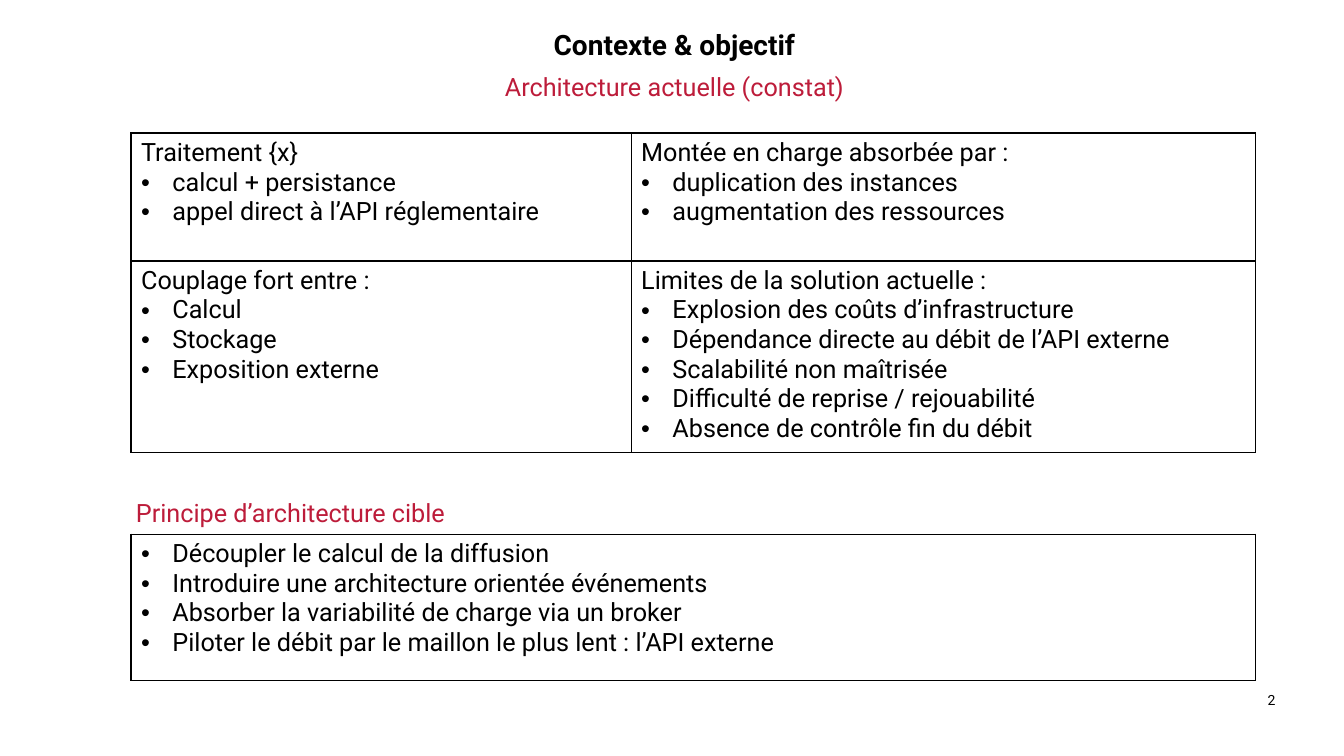
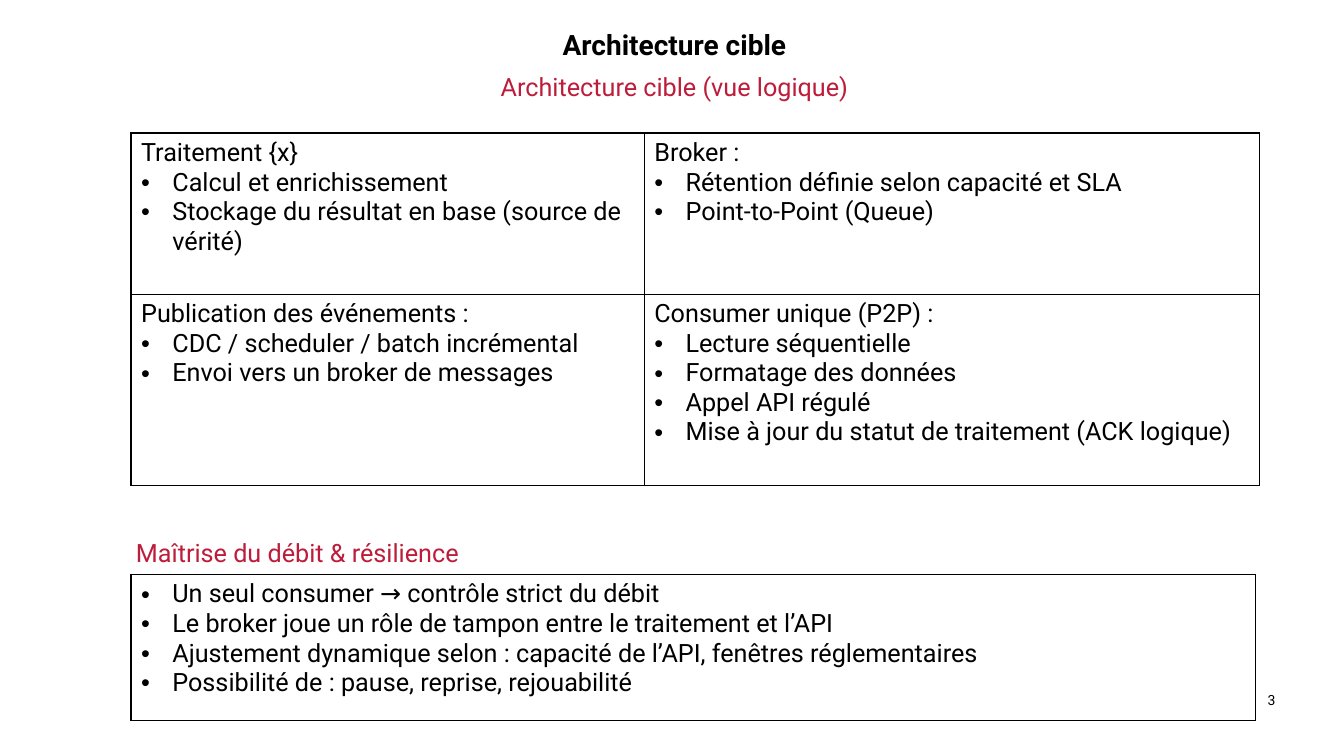
from lxml import etree
from pptx import Presentation
from pptx.dml.color import RGBColor
from pptx.enum.text import MSO_ANCHOR, MSO_AUTO_SIZE, PP_ALIGN
from pptx.oxml.ns import qn
from pptx.util import Inches, Pt

BLACK = RGBColor(0x00, 0x00, 0x00)
WHITE = RGBColor(0xFF, 0xFF, 0xFF)
CRIMSON = RGBColor(0xBD, 0x1C, 0x3A)
FONT = "Roboto"
LEFT = 1.3
PRINCIPLES_WIDTH = 11.15
PRINCIPLES_HEIGHT = 1.45
INDENT = Inches(0.31)

SLIDES = [
    {
        "number": 2,
        "title": "Contexte & objectif",
        "subtitle": "Architecture actuelle (constat)",
        "columns": [4.96, 6.19],
        "rows": [1.27, 1.87],
        "topics": [
            [("Traitement {x}",
              ["calcul + persistance", "appel direct à l’API réglementaire"]),
             ("Montée en charge absorbée par :",
              ["duplication des instances", "augmentation des ressources"])],
            [("Couplage fort entre :",
              ["Calcul", "Stockage", "Exposition externe"]),
             ("Limites de la solution actuelle :",
              ["Explosion des coûts d’infrastructure",
               "Dépendance directe au débit de l’API externe",
               "Scalabilité non maîtrisée",
               "Difficulté de reprise / rejouabilité",
               "Absence de contrôle fin du débit"])],
        ],
        "principles_top": 5.3,
        "heading": "Principe d’architecture cible",
        "principles": [
            "Découpler le calcul de la diffusion",
            "Introduire une architecture orientée événements",
            "Absorber la variabilité de charge via un broker",
            "Piloter le débit par le maillon le plus lent : l’API externe",
        ],
    },
    {
        "number": 3,
        "title": "Architecture cible",
        "subtitle": "Architecture cible (vue logique)",
        "columns": [5.09, 6.1],
        "rows": [1.6, 1.9],
        "topics": [
            [("Traitement {x}",
              ["Calcul et enrichissement",
               "Stockage du résultat en base (source de vérité)"]),
             ("Broker :",
              ["Rétention définie selon capacité et SLA",
               "Point-to-Point (Queue)"])],
            [("Publication des événements :",
              ["CDC / scheduler / batch incrémental",
               "Envoi vers un broker de messages"]),
             ("Consumer unique (P2P) :",
              ["Lecture séquentielle", "Formatage des données",
               "Appel API régulé",
               "Mise à jour du statut de traitement (ACK logique)"])],
        ],
        "principles_top": 5.7,
        "heading": "Maîtrise du débit & résilience",
        "principles": [
            "Un seul consumer → contrôle strict du débit",
            "Le broker joue un rôle de tampon entre le traitement et l’API",
            "Ajustement dynamique selon : capacité de l’API, fenêtres réglementaires",
            "Possibilité de : pause, reprise, rejouabilité",
        ],
    },
]


def write(paragraph, text, size=18, color=BLACK, bold=False, align=PP_ALIGN.LEFT):
    paragraph.text = text
    paragraph.alignment = align
    font = paragraph.font
    font.name, font.size, font.bold = FONT, Pt(size), bold
    font.color.rgb = color


def add_bullet(paragraph):
    properties = paragraph._p.get_or_add_pPr()
    properties.set("marL", str(INDENT))
    properties.set("indent", str(-INDENT))
    etree.SubElement(properties, qn("a:buFont"), typeface="Arial")
    etree.SubElement(properties, qn("a:buChar"), char="•")


def fill_cell(cell, heading, bullets):
    """Write an optional heading, then its bullets."""
    lines = ([(heading, False)] if heading else []) + [(b, True) for b in bullets]
    frame = cell.text_frame
    for i, (text, bulleted) in enumerate(lines):
        paragraph = frame.add_paragraph() if i else frame.paragraphs[0]
        if bulleted:
            add_bullet(paragraph)
        write(paragraph, text)


def style_cell(cell, border_color):
    """Give the cell 1 pt borders and no fill."""
    properties = cell._tc.get_or_add_tcPr()
    for side in ("lnL", "lnR", "lnT", "lnB"):
        line = etree.SubElement(properties, qn(f"a:{side}"), w=str(Pt(1)))
        solid = etree.SubElement(line, qn("a:solidFill"))
        etree.SubElement(solid, qn("a:srgbClr"), val=str(border_color))
    cell.fill.background()


def add_grid(slide, left, top, columns, rows, border_color=BLACK):
    grid = slide.shapes.add_table(
        len(rows), len(columns), Inches(left), Inches(top),
        Inches(sum(columns)), Inches(sum(rows))).table
    grid.first_row = grid.horz_banding = False
    for column, width in zip(grid.columns, columns):
        column.width = Inches(width)
    for row, height in zip(grid.rows, rows):
        row.height = Inches(height)
    for cell in grid.iter_cells():
        style_cell(cell, border_color)
    return grid


def add_title(slide, left, top, title, subtitle):
    header = add_grid(slide, left, top, [2.96] * 3, [0.43, 0.4], WHITE)
    header.cell(1, 0).merge(header.cell(1, 2))
    write(header.cell(0, 1).text_frame.paragraphs[0], title, 20,
          bold=True, align=PP_ALIGN.CENTER)
    write(header.cell(1, 0).text_frame.paragraphs[0], subtitle,
          color=CRIMSON, align=PP_ALIGN.CENTER)


def add_topics(slide, left, top, columns, rows, topics):
    grid = add_grid(slide, left, top, columns, rows)
    for r, topic_row in enumerate(topics):
        for c, (heading, bullets) in enumerate(topic_row):
            fill_cell(grid.cell(r, c), heading, bullets)


def add_principles(slide, left, top, heading, principles):
    """Framed list with its heading just above."""
    frame_box = add_grid(slide, left, top, [PRINCIPLES_WIDTH], [PRINCIPLES_HEIGHT])
    fill_cell(frame_box.cell(0, 0), None, principles)
    caption = slide.shapes.add_textbox(
        Inches(left - 0.05), Inches(top - 0.42), Inches(3.84), Inches(0.4)).text_frame
    caption.word_wrap = True
    caption.auto_size = MSO_AUTO_SIZE.SHAPE_TO_FIT_TEXT
    write(caption.paragraphs[0], heading, color=CRIMSON)


def add_page_number(slide, left, top, number):
    page = slide.shapes.add_textbox(
        Inches(left), Inches(top), Inches(0.15), Inches(0.19)).text_frame
    page.margin_left = page.margin_right = page.margin_top = page.margin_bottom = 0
    page.vertical_anchor = MSO_ANCHOR.MIDDLE
    page.word_wrap = True
    write(page.paragraphs[0], str(number), 10, align=PP_ALIGN.RIGHT)


def add_architecture_slide(prs, content):
    slide = prs.slides.add_slide(prs.slide_layouts[6])
    # The number stands just right of the framed list, clear of its border
    add_page_number(slide, LEFT + PRINCIPLES_WIDTH + 0.05, 6.85, content["number"])
    add_title(slide, 2.25, 0.24, content["title"], content["subtitle"])
    add_topics(slide, LEFT, 1.32, content["columns"], content["rows"],
               content["topics"])
    add_principles(slide, LEFT, content["principles_top"], content["heading"],
                   content["principles"])


def main():
    prs = Presentation()
    prs.slide_width, prs.slide_height = Inches(13.33), Inches(7.5)
    for content in SLIDES:
        add_architecture_slide(prs, content)
    prs.save("out.pptx")


if __name__ == "__main__":
    main()
